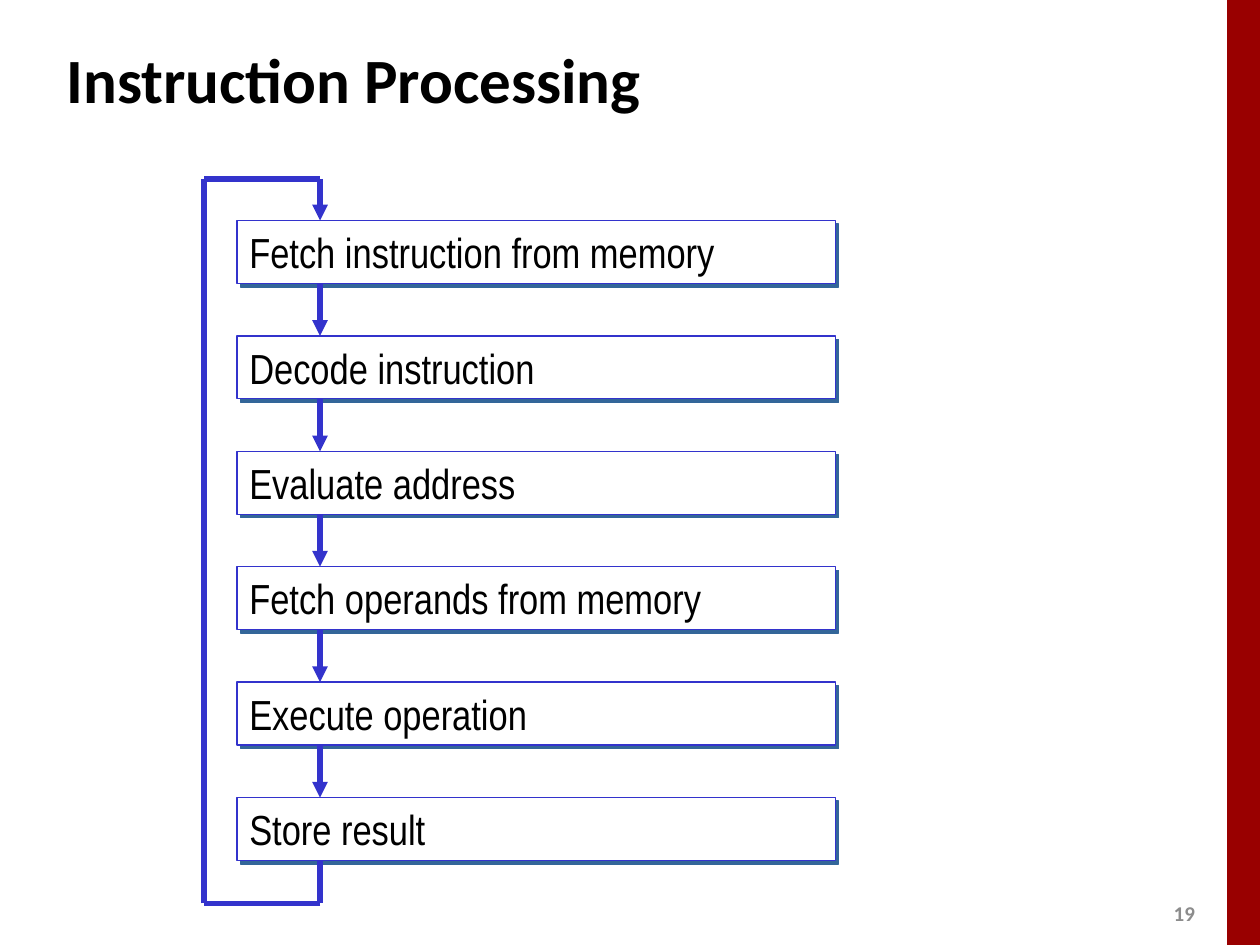
from dataclasses import dataclass
from itertools import pairwise

from lxml import etree
from pptx import Presentation
from pptx.dml.color import RGBColor
from pptx.enum.shapes import MSO_CONNECTOR, MSO_SHAPE
from pptx.enum.text import MSO_ANCHOR, MSO_AUTO_SIZE, PP_ALIGN
from pptx.oxml import parse_xml
from pptx.oxml.ns import nsdecls, qn
from pptx.util import Inches, Pt


@dataclass(frozen=True)
class Theme:
    bar: str = "990000"
    line: str = "3333CC"
    shadow: str = "336699"
    box: str = "FFFFFF"
    text: str = "000000"
    muted: str = "8C8C8C"
    heading_font: str = "Calibri"
    step_font: str = "Arial Narrow"
    title_size: int = 36
    step_size: int = 24
    number_size: int = 12


THEME = Theme()
STEPS = [
    "Fetch instruction from memory",
    "Decode instruction",
    "Evaluate address",
    "Fetch operands from memory",
    "Execute operation",
    "Store result",
]


def rgb(value):
    return RGBColor.from_string(value)


def write(shape, text, font, size, color, bold=False,
          align=PP_ALIGN.LEFT, anchor=MSO_ANCHOR.MIDDLE):
    tf = shape.text_frame
    tf.word_wrap = True
    tf.vertical_anchor = anchor
    p = tf.paragraphs[0]
    p.text = text
    p.alignment = align
    p.font.name, p.font.size, p.font.bold = font, Pt(size), bold
    p.font.color.rgb = rgb(color)


def add_heading_text(s, box, text, size, color, align):
    tb = s.shapes.add_textbox(*box)
    write(tb, text, THEME.heading_font, size, color, bold=True, align=align)


def add_side_bar(s, box):
    bar = s.shapes.add_shape(MSO_SHAPE.RECTANGLE, *box)
    bar.shadow.inherit = False
    bar.fill.solid()
    bar.fill.fore_color.rgb = rgb(THEME.bar)
    bar.line.fill.background()


def add_line(s, start, end, arrow=False):
    line = s.shapes.add_connector(MSO_CONNECTOR.STRAIGHT, *start, *end)
    line.line.color.rgb = rgb(THEME.line)
    line.line.width = Pt(3)
    if arrow:
        etree.SubElement(line.line._get_or_add_ln(), qn("a:tailEnd"), type="triangle")
    etree.SubElement(line._element.spPr, qn("a:effectLst"))


def add_step(s, box, text):
    sp = s.shapes.add_shape(MSO_SHAPE.RECTANGLE, *box)
    sp.fill.solid()
    sp.fill.fore_color.rgb = rgb(THEME.box)
    sp.line.color.rgb = rgb(THEME.line)
    sp.line.width = Pt(0.75)
    sp._element.spPr.append(parse_xml(
        f'<a:effectLst {nsdecls("a")}>'
        f'<a:outerShdw dist="{Pt(2.8)}" dir="2700000" algn="ctr" rotWithShape="0">'
        f'<a:srgbClr val="{THEME.shadow}"/></a:outerShdw></a:effectLst>'))
    write(sp, text, THEME.step_font, THEME.step_size, THEME.text, anchor=MSO_ANCHOR.TOP)
    sp.text_frame.auto_size = MSO_AUTO_SIZE.SHAPE_TO_FIT_TEXT


def add_cycle(s, box, steps):
    """Stack the steps evenly in the box, with a return loop on their left."""
    left, top, width, height = box
    step_h = Inches(0.5)
    pitch = (height - step_h) / (len(steps) - 1)
    tops = [round(top + i * pitch) for i in range(len(steps))]
    flow_x, loop_x = left + Inches(0.66), left - Inches(0.26)
    loop_top, loop_bottom = top - Inches(0.33), top + height + Inches(0.34)

    for y, text in zip(tops, steps):
        add_step(s, (left, y, width, step_h), text)
    for y, next_y in pairwise(tops):
        add_line(s, (flow_x, y + step_h), (flow_x, next_y), arrow=True)

    loop = [(flow_x, top + height), (flow_x, loop_bottom), (loop_x, loop_bottom),
            (loop_x, loop_top), (flow_x, loop_top), (flow_x, top)]
    for start, end in pairwise(loop):
        add_line(s, start, end, arrow=end == loop[-1])


def main():
    prs = Presentation()
    prs.slide_width, prs.slide_height = Inches(10), Inches(7.5)
    s = prs.slides.add_slide(prs.slide_layouts[6])
    add_side_bar(s, (Inches(9.74), 0, Inches(0.26), prs.slide_height))
    add_heading_text(s, (Inches(9.2), Inches(7.1), Inches(0.4), Inches(0.3)),
                     "19", THEME.number_size, THEME.muted, PP_ALIGN.CENTER)
    add_heading_text(s, (Inches(0.43), Inches(0.21), Inches(8.3), Inches(0.83)),
                     "Instruction Processing", THEME.title_size, THEME.text, PP_ALIGN.LEFT)
    add_cycle(s, (Inches(1.88), Inches(1.75), Inches(4.75), Inches(5.08)), STEPS)
    prs.save("out.pptx")


if __name__ == "__main__":
    main()
